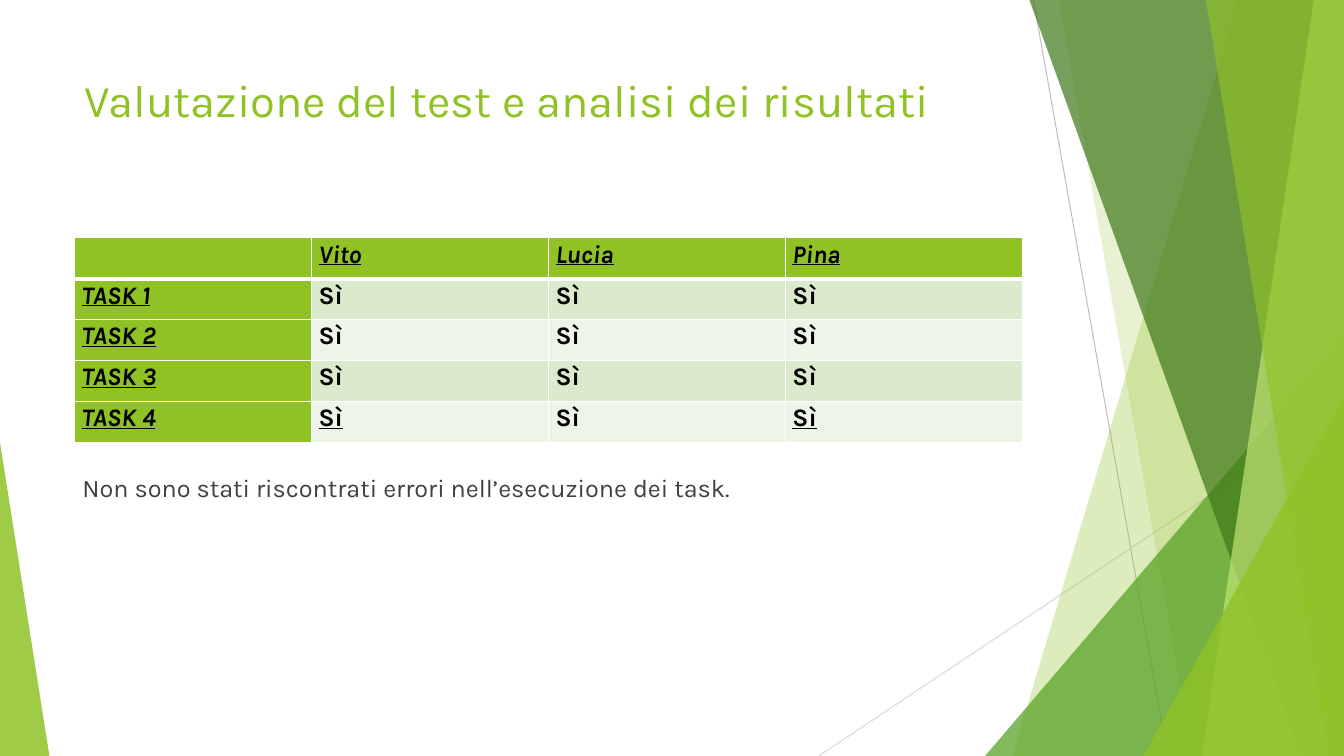
from dataclasses import dataclass
from lxml import etree
from pptx import Presentation
from pptx import util as u
from pptx.dml.color import RGBColor
from pptx.enum import shapes as es
from pptx.oxml.ns import qn

WIDE, HIGH = 13.33, 7.5
FACE = "Karla"
GREEN = RGBColor(0x90, 0xC2, 0x26)
LEAF = RGBColor(0x54, 0xA0, 0x21)
DARK = RGBColor(0x3F, 0x78, 0x19)
LIME = RGBColor(0xC0, 0xE4, 0x74)
BAND = RGBColor(0xDB, 0xE9, 0xCD)
PALE = RGBColor(0xEE, 0xF4, 0xE8)
WHITE = RGBColor(0xFF, 0xFF, 0xFF)
BLACK = RGBColor(0, 0, 0)
TEXT = RGBColor(0x40, 0x40, 0x40)
GREY = RGBColor(0xBF, 0xBF, 0xBF)
MIST = RGBColor(0xD9, 0xD9, 0xD9)


@dataclass
class Ray:
    start: tuple[float, float]
    end: tuple[float, float]
    color: RGBColor


@dataclass
class Panel:
    """Full-height panel that reaches the right edge."""
    top: float
    base: float
    color: RGBColor
    alpha: int


@dataclass
class Wedge:
    """Right-angled triangle that stands on the bottom edge."""
    left: float
    top: float
    width: float
    peak: float
    color: RGBColor
    alpha: int


RAYS = [
    Ray((10.25, 0), (11.58, HIGH), GREY),
    Ray((WIDE, 4.03), (8.12, HIGH), MIST),
]
FACETS = [
    Panel(12.28, 10.04, GREEN, 30),
    Panel(10.5, 11.83, GREEN, 20),
    Wedge(9.77, 3.33, 3.56, 1, LEAF, 72),
    Panel(10.21, 12.91, DARK, 70),
    Panel(13.03, 11.92, LIME, 70),
    Panel(11.96, 13.18, GREEN, 65),
    Wedge(11.34, 3.93, 1.99, 1, GREEN, 80),
    Wedge(0, 4.39, 0.49, 0, GREEN, 85),
]
NAMES = ["Vito", "Lucia", "Pina"]
ROWS = [["", *NAMES]] + [[f"TASK {n}"] + ["Sì"] * len(NAMES) for n in range(1, 5)]
LINED = {(4, 1), (4, 3)}  # underlined answers

deck = Presentation()
deck.slide_width, deck.slide_height = u.Inches(WIDE), u.Inches(HIGH)
slide = deck.slides.add_slide(deck.slide_layouts[6])
items = slide.shapes


def draw_ray(ray: Ray) -> None:
    ends = [u.Inches(v) for v in ray.start + ray.end]
    line = items.add_connector(es.MSO_CONNECTOR.STRAIGHT, *ends)
    line.line.color.rgb = ray.color
    line.line.width = u.Pt(0.75)
    etree.SubElement(line._element.spPr, qn("a:effectLst"))


def draw_facet(facet: Panel | Wedge) -> None:
    if isinstance(facet, Panel):
        path = items.build_freeform(u.Inches(facet.top), 0)
        spots = [(WIDE, 0), (WIDE, HIGH), (facet.base, HIGH)]
        path.add_line_segments([(u.Inches(x), u.Inches(y)) for x, y in spots])
        shape = path.convert_to_shape()
    else:
        shape = items.add_shape(
            es.MSO_SHAPE.ISOSCELES_TRIANGLE, u.Inches(facet.left), u.Inches(facet.top),
            u.Inches(facet.width), u.Inches(HIGH - facet.top))
        shape.adjustments[0] = facet.peak
    shape.shadow.inherit = False
    shape.line.fill.background()
    shape.fill.solid()
    shape.fill.fore_color.rgb = facet.color
    tint = shape._element.spPr.find(qn("a:solidFill"))[0]
    etree.SubElement(tint, qn("a:alpha"), val=str(facet.alpha * 1000))


def set_font(para, size: float, color: RGBColor) -> None:
    para.font.name = FACE
    para.font.size = u.Pt(size)
    para.font.color.rgb = color


def draw_text(words: str, box: tuple, size: float, color: RGBColor, wrap: bool) -> None:
    frame = items.add_textbox(*[u.Inches(v) for v in box]).text_frame
    frame.word_wrap = wrap
    para = frame.paragraphs[0]
    para.text = words
    set_font(para, size, color)


def add_edge(cell, side: str, width: float) -> None:
    props = cell._tc.get_or_add_tcPr()
    line = etree.SubElement(props, qn(f"a:ln{side}"), w=str(u.Pt(width)))
    fill = etree.SubElement(line, qn("a:solidFill"))
    etree.SubElement(fill, qn("a:srgbClr"), val=str(WHITE))


def draw_cell(cell, words: str, row: int, col: int) -> None:
    head = row == 0 or col == 0
    heavy = {(0, "B"), (1, "T")}
    for side in "LRTB":
        add_edge(cell, side, 3 if (row, side) in heavy else 1)
    cell.fill.solid()
    cell.fill.fore_color.rgb = GREEN if head else BAND if row % 2 else PALE
    cell.margin_left = cell.margin_right = u.Inches(0.07)
    cell.margin_top = cell.margin_bottom = 0
    para = cell.text_frame.paragraphs[0]
    para.text = words
    para.line_spacing = 1.07
    para.space_after = u.Pt(8)
    set_font(para, 18, BLACK)
    para.font.bold = True
    para.font.italic = head
    para.font.underline = head or (row, col) in LINED


def draw_table() -> None:
    box = [u.Inches(v) for v in (0.74, 2.36, 9.4, 2.03)]
    table = items.add_table(len(ROWS), len(ROWS[0]), *box).table
    table.first_row = table.horz_banding = False
    for r, row in enumerate(ROWS):
        for c, words in enumerate(row):
            draw_cell(table.cell(r, c), words, r, c)


# Background facets
for ray in RAYS:
    draw_ray(ray)
for facet in FACETS:
    draw_facet(facet)

# Title, results and remark
draw_text("Valutazione del test e analisi dei risultati",
          (0.74, 0.67, 9.4, 1.44), 32.4, GREEN, True)
draw_table()
draw_text("Non sono stati riscontrati errori nell’esecuzione dei task.",
          (0.72, 4.64, 6.66, 0.71), 18, TEXT, False)

deck.save("out.pptx")
